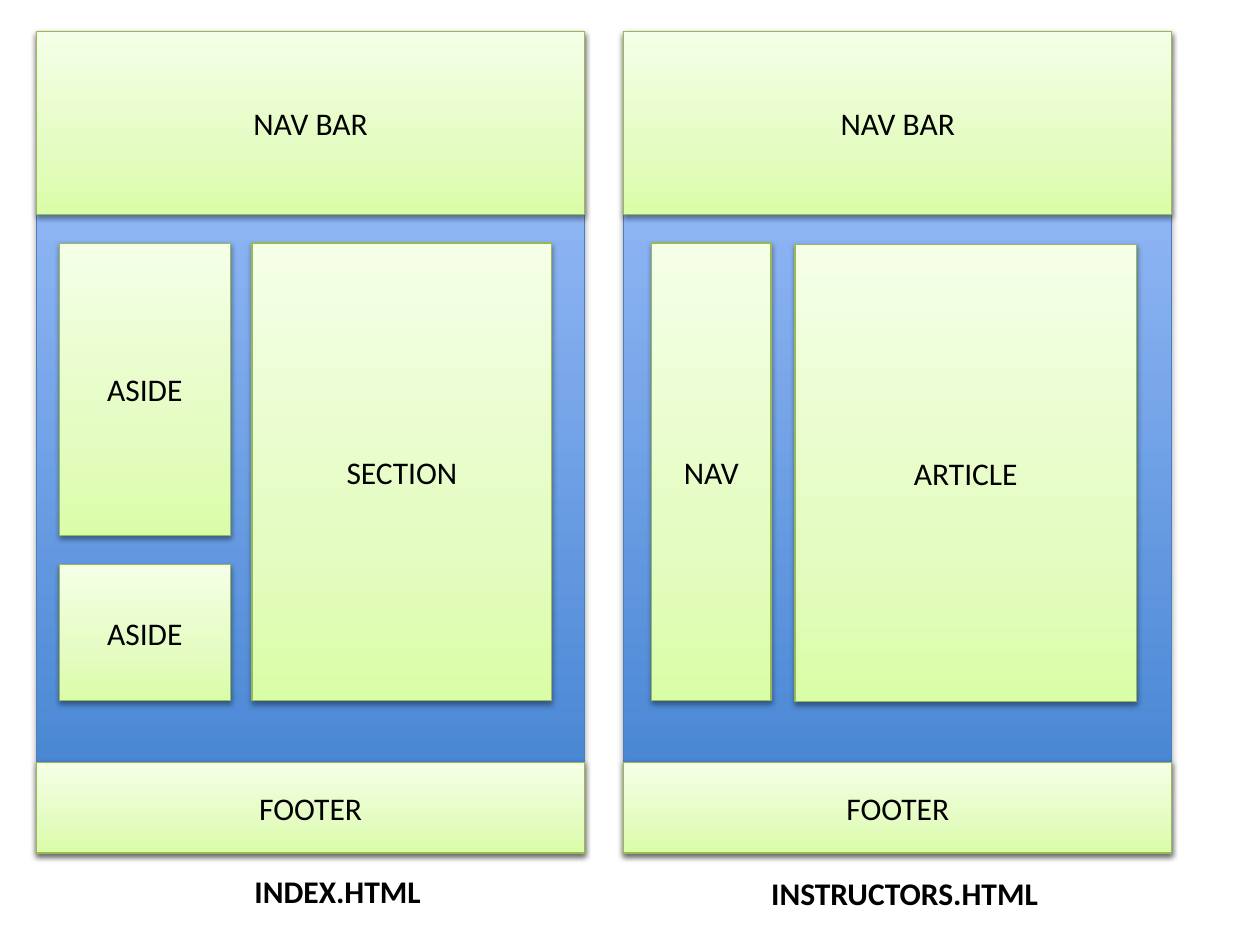
import copy

import pptx
import pptx.dml.color
import pptx.enum.shapes
import pptx.enum.text
import pptx.oxml
import pptx.oxml.ns
import pptx.util

RGB = pptx.dml.color.RGBColor
BLACK = RGB(0x00, 0x00, 0x00)
GREEN = RGB(0x98, 0xB9, 0x55)
BLUE = RGB(0x4B, 0x7E, 0xBC)
LEAF = [(0, RGB(0xDA, 0xFD, 0xA7)), (0.35, RGB(0xE4, 0xFC, 0xC2)), (1, RGB(0xF5, 0xFF, 0xE7))]
SKY = [(0, RGB(0x3F, 0x80, 0xCE)), (1, RGB(0xA4, 0xC4, 0xFF))]

SCALE = 9144  # EMU in one px, at 100 px to the inch
TOP, WIDE, TALL = 25, 435, 652
HEAD, FOOT = 145, 72

# Each page: left edge, inner blocks, caption, caption place
PAGES = [
    (29, [("ASIDE", 47, 193, 136, 232),
          ("ASIDE", 47, 448, 136, 108),
          ("SECTION", 200, 193, 238, 363)],
     "INDEX.HTML", (152, 687, 232, 40)),
    (495, [("NAV", 517, 193, 95, 363),
           ("ARTICLE", 631, 194, 271, 363)],
     "INSTRUCTORS.HTML", (585, 689, 266, 40)),
]


def emu(*px):
    return [pptx.util.Emu(n * SCALE) for n in px]


class Sketch:
    """Holds the text style and the current slide."""

    def __init__(self, slide, font="Calibri", size=18):
        self.slide = slide
        self.font = font
        self.size = size

    def text(self, shape, words, bold=False):
        frame = shape.text_frame
        frame.word_wrap = True
        para = frame.paragraphs[0]
        para.alignment = pptx.enum.text.PP_ALIGN.CENTER
        run = para.add_run()
        run.text = words
        run.font.name = self.font
        run.font.size = pptx.util.Pt(self.size)
        run.font.bold = bold
        run.font.color.rgb = BLACK

    def blend(self, shape, stops):
        """Fill the shape with a gradient that rises from the bottom."""
        fill = shape.fill
        fill.gradient()
        fill.gradient_angle = 90
        group = shape._element.spPr.find(".//" + pptx.oxml.ns.qn("a:gsLst"))
        while len(group) < len(stops):
            group.append(copy.deepcopy(group[-1]))
        for stop, (place, color) in zip(fill.gradient_stops, stops):
            stop.position = place
            stop.color.rgb = color

    def shade(self, shape, dist, alpha):
        """Cast a soft shadow straight down."""
        shape.shadow.inherit = False
        effects = shape._element.spPr.find(pptx.oxml.ns.qn("a:effectLst"))
        effects.append(pptx.oxml.parse_xml(
            f'<a:outerShdw {pptx.oxml.ns.nsdecls("a")} blurRad="40000" dist="{dist}"'
            f' dir="5400000" rotWithShape="0"><a:srgbClr val="000000">'
            f'<a:alpha val="{alpha}"/></a:srgbClr></a:outerShdw>'))

    def rect(self, box, stops, line, dist, alpha):
        shape = self.slide.shapes.add_shape(
            pptx.enum.shapes.MSO_SHAPE.RECTANGLE, *emu(*box))
        self.blend(shape, stops)
        shape.line.color.rgb = line
        shape.line.width = pptx.util.Pt(0.75)
        self.shade(shape, dist, alpha)
        return shape

    def page(self, left):
        self.rect((left, TOP, WIDE, TALL), SKY, BLUE, 23000, 35000)

    def block(self, words, *box):
        shape = self.rect(box, LEAF, GREEN, 20000, 38000)
        shape.text_frame.vertical_anchor = pptx.enum.text.MSO_ANCHOR.MIDDLE
        self.text(shape, words)

    def label(self, words, box):
        shape = self.slide.shapes.add_textbox(*emu(*box))
        self.text(shape, words, bold=True)
        shape.text_frame.auto_size = pptx.enum.text.MSO_AUTO_SIZE.SHAPE_TO_FIT_TEXT


def main():
    deck = pptx.Presentation()
    deck.slide_width, deck.slide_height = emu(1000, 750)
    sketch = Sketch(deck.slides.add_slide(deck.slide_layouts[6]))
    for left, *_ in PAGES:
        sketch.page(left)
    for left, blocks, name, place in PAGES:
        sketch.block("NAV BAR", left, TOP, WIDE, HEAD)
        sketch.block("FOOTER", left, TOP + TALL - FOOT, WIDE, FOOT)
        for block in blocks:
            sketch.block(*block)
        sketch.label(name, place)
    deck.save("out.pptx")


if __name__ == "__main__":
    main()
